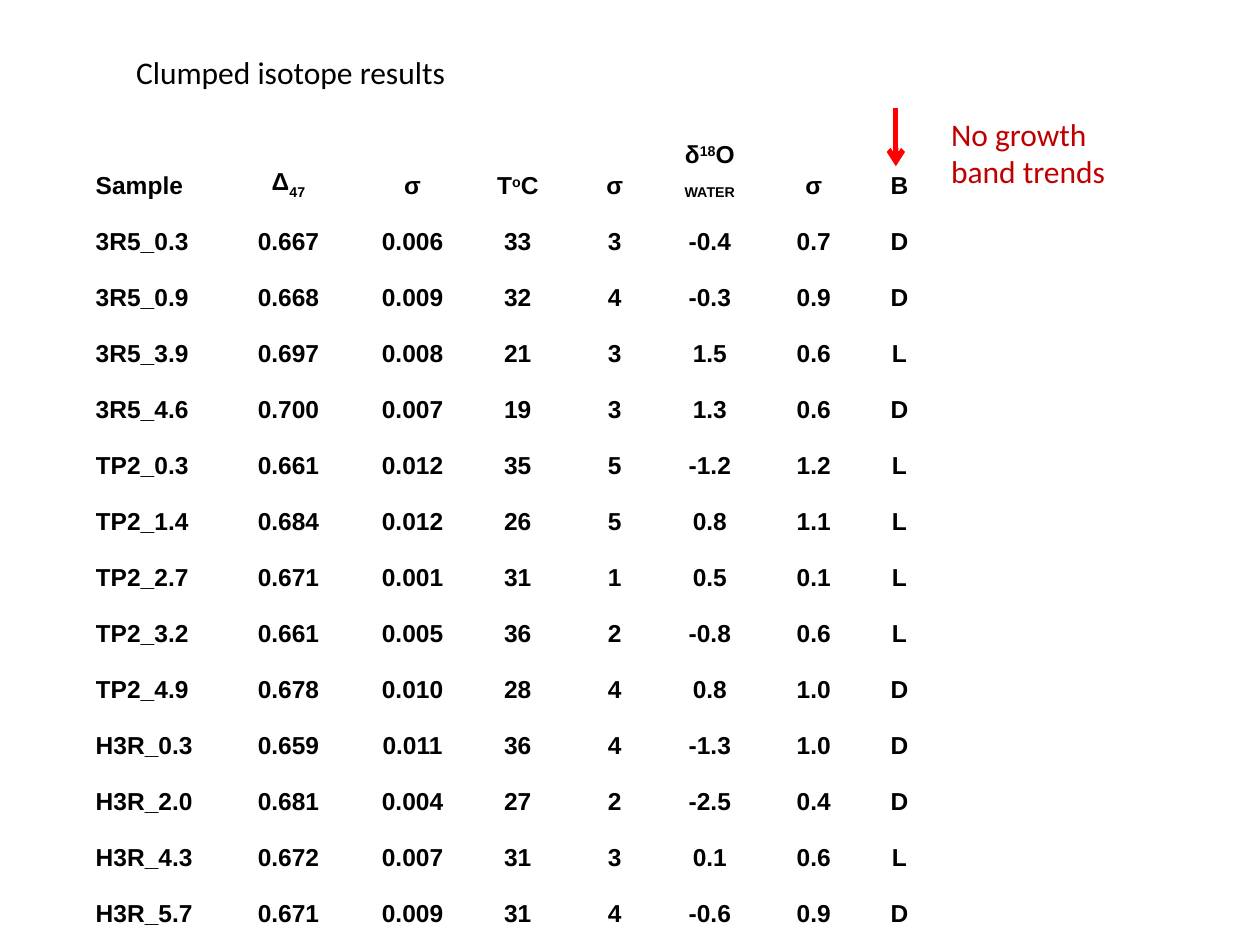
from lxml import etree
from pptx import Presentation
from pptx.dml.color import RGBColor
from pptx.enum.shapes import MSO_CONNECTOR
from pptx.enum.text import MSO_ANCHOR, PP_ALIGN
from pptx.oxml import parse_xml
from pptx.oxml.ns import nsdecls, qn
from pptx.util import Inches, Pt

LEFT, CENTER = PP_ALIGN.LEFT, PP_ALIGN.CENTER
TOP, BOTTOM = MSO_ANCHOR.TOP, MSO_ANCHOR.BOTTOM
STRAIGHT = MSO_CONNECTOR.STRAIGHT

BLACK = RGBColor(0, 0, 0)
WHITE = RGBColor(255, 255, 255)
RED = RGBColor(255, 0, 0)
DARK_RED = RGBColor(192, 0, 0)

TITLE_ONLY = 5
SUB, SUPER = -25, 30  # baseline shift in percent

CELL_FONT = dict(name="Arial", size=Pt(14), bold=True)
LABEL_FONT = dict(name="Calibri", size=Pt(18), bold=False)

COL_WIDTHS = [0.97, 1.12, 0.85, 0.82, 0.72, 0.79, 0.86, 0.5]
TABLE_LEFT, TABLE_TOP, TABLE_HEIGHT = 0.76, 1.12, 6.22

# Each header is a list of (text, baseline) runs
HEADERS = [
    [("Sample", 0)],
    [("Δ", 0), ("47", SUB)],
    [("σ", 0)],
    [("T", 0), ("o", SUPER), ("C", 0)],
    [("σ", 0)],
    [("δ", 0), ("18", SUPER), ("O ", 0), ("WATER", SUB)],
    [("σ", 0)],
    [("B", 0)],
]
RESULTS = """
3R5_0.3 0.667 0.006 33 3 -0.4 0.7 D
3R5_0.9 0.668 0.009 32 4 -0.3 0.9 D
3R5_3.9 0.697 0.008 21 3 1.5 0.6 L
3R5_4.6 0.700 0.007 19 3 1.3 0.6 D
TP2_0.3 0.661 0.012 35 5 -1.2 1.2 L
TP2_1.4 0.684 0.012 26 5 0.8 1.1 L
TP2_2.7 0.671 0.001 31 1 0.5 0.1 L
TP2_3.2 0.661 0.005 36 2 -0.8 0.6 L
TP2_4.9 0.678 0.010 28 4 0.8 1.0 D
H3R_0.3 0.659 0.011 36 4 -1.3 1.0 D
H3R_2.0 0.681 0.004 27 2 -2.5 0.4 D
H3R_4.3 0.672 0.007 31 3 0.1 0.6 L
H3R_5.7 0.671 0.009 31 4 -0.6 0.9 D
"""


def add_runs(p, runs, color, formats):
    for text, baseline in runs:
        r = p.add_run()
        r.text = text
        for key, value in formats.items():
            setattr(r.font, key, value)
        r.font.color.rgb = color
        if baseline:
            r.font._element.set("baseline", str(baseline * 1000))


def set_borders(cell, color, width):
    tc_pr = cell._tc.get_or_add_tcPr()
    for i, side in enumerate(("lnL", "lnR", "lnT", "lnB")):
        tc_pr.insert(i, parse_xml(
            f'<a:{side} {nsdecls("a")} w="{Pt(width)}"><a:solidFill>'
            f'<a:srgbClr val="{color}"/></a:solidFill></a:{side}>'))


def fill_cell(cell, runs, align):
    cell.margin_left = cell.margin_right = cell.margin_top = cell.margin_bottom = 0
    cell.vertical_anchor = BOTTOM
    cell.fill.background()
    set_borders(cell, WHITE, 1)
    p = cell.text_frame.paragraphs[0]
    p.alignment = align
    add_runs(p, runs, BLACK, CELL_FONT)


def add_results_table(s):
    rows = [HEADERS] + [[[(value, 0)] for value in line.split()]
                        for line in RESULTS.strip().splitlines()]
    table = s.shapes.add_table(
        len(rows), len(COL_WIDTHS), Inches(TABLE_LEFT), Inches(TABLE_TOP),
        Inches(sum(COL_WIDTHS)), Inches(TABLE_HEIGHT)).table
    table.first_row = table.horz_banding = False
    for column, width in zip(table.columns, COL_WIDTHS):
        column.width = Inches(width)
    for i, row in enumerate(rows):
        for j, runs in enumerate(row):
            fill_cell(table.cell(i, j), runs, CENTER if j else LEFT)


def fill_label(sp, text, box, color):
    sp.left, sp.top, sp.width, sp.height = map(Inches, box)
    tf = sp.text_frame
    tf.word_wrap = True
    tf.vertical_anchor = TOP
    p = tf.paragraphs[0]
    p.alignment = LEFT
    add_runs(p, [(text, 0)], color, LABEL_FONT)


def add_arrow(s, x, y1, y2, color, width):
    line = s.shapes.add_connector(STRAIGHT, *map(Inches, (x, y1, x, y2)))
    line.line.color.rgb = color
    line.line.width = Pt(width)
    etree.SubElement(line.line._get_or_add_ln(), qn("a:tailEnd"), type="arrow")
    etree.SubElement(line._element.spPr, qn("a:effectLst"))


def main():
    prs = Presentation()
    prs.slide_width, prs.slide_height = Inches(10), Inches(7.5)
    s = prs.slides.add_slide(prs.slide_layouts[TITLE_ONLY])

    # Title and table of results
    fill_label(s.shapes.title, "Clumped isotope results", (0.98, 0.37, 3.36, 0.4), BLACK)
    add_results_table(s)

    # Note pointing at the last column
    add_arrow(s, 7.11, 0.86, 1.32, RED, 3)
    note = s.shapes.add_textbox(0, 0, 0, 0)
    fill_label(note, "No growth band trends", (7.45, 0.86, 1.56, 0.71), DARK_RED)

    prs.save("out.pptx")


if __name__ == "__main__":
    main()
